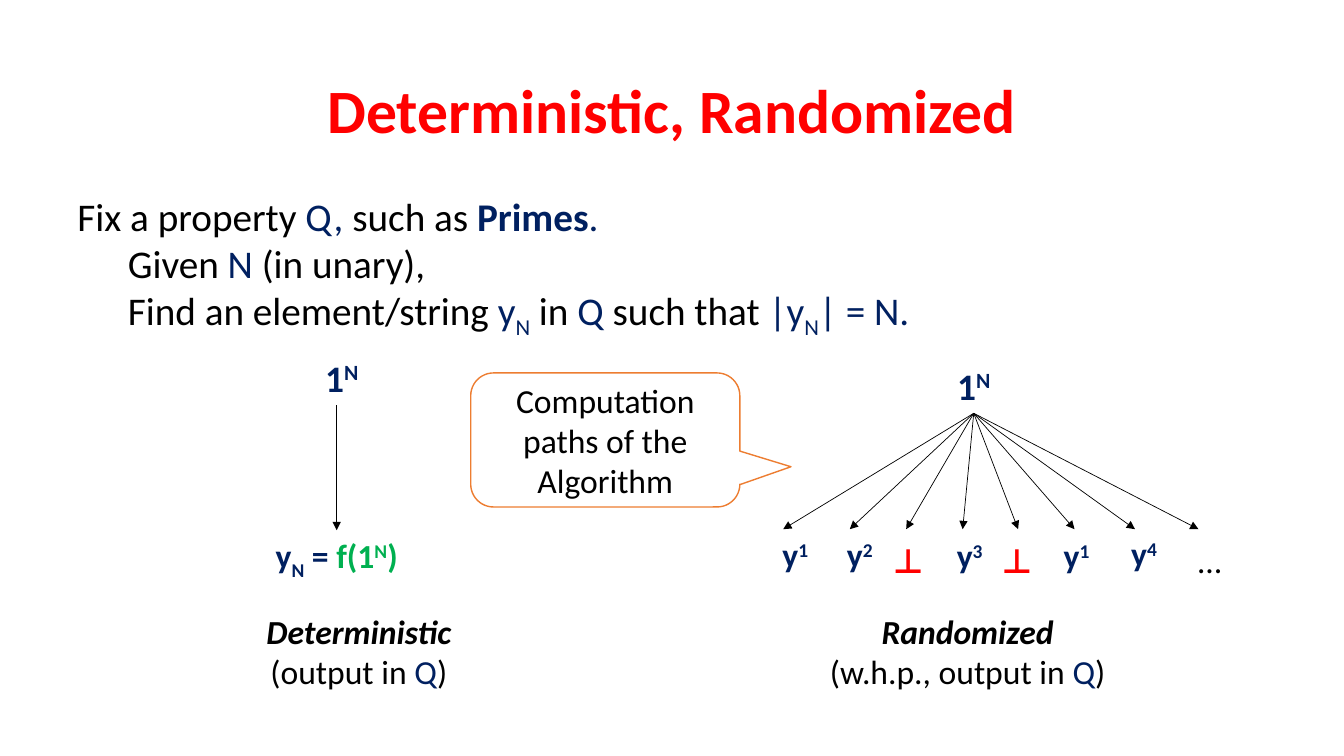
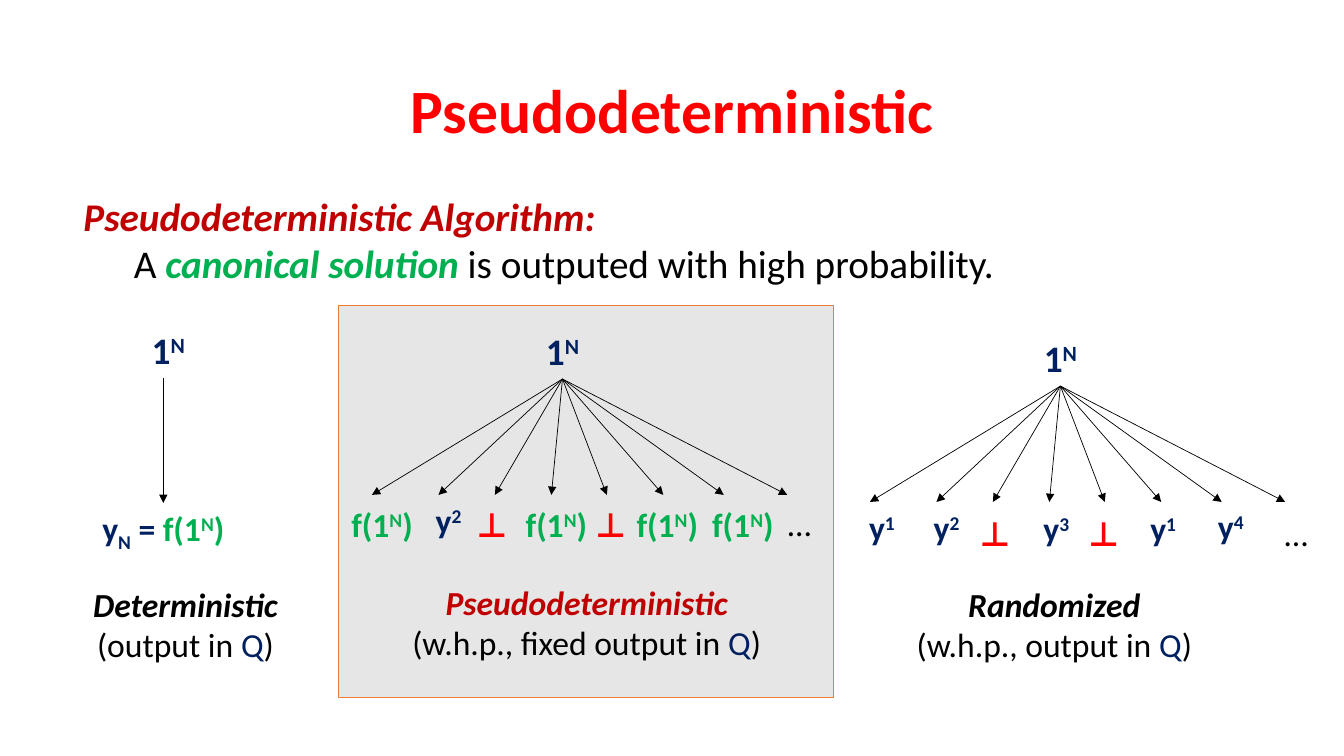
"""Build two slides comparing deterministic, randomized and pseudodeterministic algorithms."""
from dataclasses import dataclass
from typing import NamedTuple

from lxml import etree
from pptx import Presentation
from pptx.dml.color import RGBColor
from pptx.enum.shapes import MSO_CONNECTOR, MSO_SHAPE
from pptx.enum.text import MSO_ANCHOR, PP_ALIGN
from pptx.oxml.ns import qn
from pptx.util import Inches, Pt

CENTER, LEFT = PP_ALIGN.CENTER, PP_ALIGN.LEFT
MIDDLE, TOP = MSO_ANCHOR.MIDDLE, MSO_ANCHOR.TOP
STRAIGHT = MSO_CONNECTOR.STRAIGHT
RECTANGLE, CALLOUT = MSO_SHAPE.RECTANGLE, MSO_SHAPE.ROUNDED_RECTANGULAR_CALLOUT
CELL = Inches(0.1)
COLUMNS, ROWS = 133.33, 75
BOTTOM_SITE, TOP_SITE = 2, 0
SUPERSCRIPT, SUBSCRIPT = 30, -25
BLANK_LAYOUT = 6


@dataclass(frozen=True)
class Theme:
    """Colours, font and type sizes of both slides."""
    font: str = "Calibri"
    title: str = "FF0000"
    ink: str = "000000"
    navy: str = "002060"
    green: str = "00B050"
    crimson: str = "C00000"
    orange: str = "ED7D31"
    panel: str = "E7E6E6"
    paper: str = "FFFFFF"
    title_size: float = 44
    body_size: float = 28
    root_size: float = 26.7
    label_size: float = 24
    arrow_width: float = 0.5
    outline_width: float = 1


THEME = Theme()


class Run(NamedTuple):
    """A stretch of text in one style."""
    text: str
    color: str = THEME.ink
    bold: bool = False
    italic: bool = False
    baseline: int = 0


class Line(NamedTuple):
    """A paragraph and its indent in columns."""
    runs: list[Run]
    indent: float = 0


class Box(NamedTuple):
    """A rectangle in grid columns and rows."""
    left: float
    top: float
    width: float
    height: float


class Label(NamedTuple):
    """Text of an outcome and the width of its box."""
    runs: list[Run]
    width: float


class Branch(NamedTuple):
    """An arrow tip and its outcome, measured from the apex."""
    tip: float
    label: Label
    shift: float
    drop: float


class Diagram(NamedTuple):
    """A computation with its branches and caption, measured from the apex."""
    branches: list[Branch]
    fall: float
    root_shift: float
    name: Run
    scope: str
    caption_shift: float
    caption_drop: float
    caption_width: float


def scripted(base: str, script: str, color: str, baseline: int = SUPERSCRIPT) -> list[Run]:
    """Return bold text followed by a raised or lowered script."""
    return [Run(base, color, True), Run(script, color, True, baseline=baseline)]


def outcome(index: str) -> Label:
    """Return the label of a numbered outcome."""
    return Label(scripted("y", index, THEME.navy), 6)


CANONICAL_RUNS = [*scripted("f(1", "N", THEME.green), Run(")", THEME.green, True)]
CANONICAL = Label(CANONICAL_RUNS, 9.7)
FAILURE = Label([Run("⊥", THEME.title, True)], 9.6)
ELLIPSIS = Label([Run("…")], 6.9)
EQUATION = Label([*scripted("y", "N", THEME.navy, SUBSCRIPT),
                  Run(" = ", THEME.navy, True), *CANONICAL_RUNS], 17.2)
TIPS = [-18.9, -12.3, -6.7, -1.1, 4.4, 10, 16, 22.3]


def branches(labels: list[Label], shifts: list[float], drops: list[float]) -> list[Branch]:
    """Pair the fan of arrow tips with outcomes."""
    return [Branch(*parts) for parts in zip(TIPS, labels, shifts, drops)]


DETERMINISTIC = Diagram(
    [Branch(0, EQUATION, 0, 12.4)], 12.4, 0.5,
    Run("Deterministic", THEME.ink, True, True), "(output in ", 2.2, 19.9, 30.4)
RANDOMIZED = Diagram(
    branches([outcome("1"), outcome("2"), FAILURE, outcome("3"),
              FAILURE, outcome("1"), outcome("4"), ELLIPSIS],
             [-17.7, -11.3, -6.5, -0.4, 4.3, 10.2, 16.9, 23.4],
             [11.5, 11.5, 12.1, 11.6, 12.1, 11.6, 11.4, 12.1]),
    11.5, 0, Run("Randomized", THEME.ink, True, True), "(w.h.p., output in ", -0.6, 19.1, 33)
PSEUDODETERMINISTIC = Diagram(
    branches([CANONICAL, outcome("2"), FAILURE, CANONICAL,
              FAILURE, CANONICAL, CANONICAL, ELLIPSIS],
             [-17.9, -11.3, -7, -0.6, 4.8, 10.4, 17.9, 23.5],
             [11.9, 11.5, 11.9, 11.9, 11.9, 11.9, 11.9, 11.8]),
    11.5, 0, Run("Pseudodeterministic", THEME.crimson, True, True),
    "(w.h.p., fixed output in ", 2.4, 19.6, 42)


def grid(*cells: float) -> list[int]:
    """Convert grid cells to slide units."""
    return [round(cell * CELL) for cell in cells]


def rgb(color: str) -> RGBColor:
    """Return the colour object of a hex value."""
    return RGBColor.from_string(color)


def apply_format(target: object, values: dict[str, object]) -> None:
    """Set each named attribute of a formatting object."""
    for name, value in values.items():
        setattr(target, name, value)


def write(shape, lines: list[Line], size: float, align=LEFT, anchor=TOP, spacing: float = 1) -> None:
    """Fill a shape with styled paragraphs."""
    frame = shape.text_frame
    apply_format(frame, {"word_wrap": True, "vertical_anchor": anchor})
    for index, line in enumerate(lines):
        paragraph = frame.add_paragraph() if index else frame.paragraphs[0]
        apply_format(paragraph, {"alignment": align, "line_spacing": spacing})
        if line.indent:
            paragraph._p.get_or_add_pPr().set("marL", str(grid(line.indent)[0]))
        for piece in line.runs:
            run = paragraph.add_run()
            run.text = piece.text
            apply_format(run.font, {"name": THEME.font, "size": Pt(size),
                                    "bold": piece.bold, "italic": piece.italic})
            run.font.color.rgb = rgb(piece.color)
            if piece.baseline:
                run.font._element.set("baseline", str(piece.baseline * 1000))


def add_text(slide, box: Box, lines: list[Line], size: float, **layout):
    """Add a wrapped text box."""
    shape = slide.shapes.add_textbox(*grid(*box))
    write(shape, lines, size, **layout)
    return shape


def add_outlined(slide, kind, box: Box, fill: str):
    """Add a filled shape with the orange outline."""
    shape = slide.shapes.add_shape(kind, *grid(*box))
    shape.shadow.inherit = False
    shape.fill.solid()
    shape.fill.fore_color.rgb = rgb(fill)
    shape.line.color.rgb = rgb(THEME.orange)
    shape.line.width = Pt(THEME.outline_width)
    return shape


def add_arrow(slide, left: float, top: float, tip: float, bottom: float):
    """Add a thin arrow with a triangular head."""
    arrow = slide.shapes.add_connector(STRAIGHT, *grid(left, top, tip, bottom))
    arrow.line.color.rgb = rgb(THEME.ink)
    arrow.line.width = Pt(THEME.arrow_width)
    etree.SubElement(arrow.line._get_or_add_ln(), qn("a:tailEnd"), type="triangle")
    etree.SubElement(arrow._element.spPr, qn("a:effectLst"))
    return arrow


def add_centered(slide, center: float, top: float, width: float, height: float,
                 lines: list[Line], size: float = THEME.label_size):
    """Add centred text around a column."""
    box = Box(center - width / 2, top, width, height)
    return add_text(slide, box, lines, size, align=CENTER)


def add_diagram(slide, diagram: Diagram, column: float, row: float) -> None:
    """Draw a computation below its apex."""
    root = add_centered(slide, column + diagram.root_shift, row - 5.5, 9, 5.5,
                        [Line(scripted("1", "N", THEME.navy))], THEME.root_size)
    for branch in diagram.branches:
        label = add_centered(slide, column + branch.shift, row + branch.drop,
                             branch.label.width, 5, [Line(branch.label.runs)])
        arrow = add_arrow(slide, column, row, column + branch.tip, row + diagram.fall)
        if not diagram.root_shift:
            arrow.begin_connect(root, BOTTOM_SITE)
        if (branch.tip, diagram.fall) == (branch.shift, branch.drop):
            arrow.end_connect(label, TOP_SITE)
    scope = [Run(diagram.scope), Run("Q", THEME.navy), Run(")")]
    add_centered(slide, column + diagram.caption_shift, row + diagram.caption_drop,
                 diagram.caption_width, 9.1, [Line([diagram.name]), Line(scope)])


def add_titled_slide(presentation, title: str, body: Box, lines: list[Line]):
    """Add a slide with the shared title and a body text."""
    slide = presentation.slides.add_slide(presentation.slide_layouts[BLANK_LAYOUT])
    add_text(slide, Box(9.2, 4, 115, 14.5), [Line([Run(title, THEME.title, True)])],
             THEME.title_size, align=CENTER, anchor=MIDDLE, spacing=0.9)
    add_text(slide, body, lines, THEME.body_size)
    return slide


def build_comparison(presentation) -> None:
    """Build the slide on deterministic and randomized algorithms."""
    navy = THEME.navy
    slide = add_titled_slide(presentation, "Deterministic, Randomized", Box(6.7, 18.6, 118.9, 15.1), [
        Line([Run("Fix a property "), Run("Q, ", navy), Run("such as "),
              Run("Primes", navy, True), Run(".", navy)]),
        Line([Run("Given"), Run(" N", navy), Run(" (in unary),")], 5),
        Line([Run("Find an element/string "), Run("y", navy), Run("N", navy, baseline=SUBSCRIPT),
              Run(" in "), Run("Q", navy), Run(" such that "), Run("|y", navy),
              Run("N", navy, baseline=SUBSCRIPT), Run("| = N.", navy)], 5)])
    add_diagram(slide, DETERMINISTIC, 33.4, 40.2)
    add_diagram(slide, RANDOMIZED, 96.6, 41)
    callout = add_outlined(slide, CALLOUT, Box(46.7, 37, 26.7, 13.3), THEME.paper)
    for index, value in enumerate([0.69, 0.2, 0.17]):
        callout.adjustments[index] = value
    write(callout, [Line([Run("Computation paths of the Algorithm")])],
          THEME.label_size, align=CENTER, anchor=MIDDLE)


def build_pseudodeterministic(presentation) -> None:
    """Build the slide on pseudodeterministic algorithms."""
    slide = add_titled_slide(presentation, "Pseudodeterministic", Box(7.3, 18.6, 118.9, 10.4), [
        Line([Run("Pseudodeterministic Algorithm:", THEME.crimson, True, True)]),
        Line([Run("A "), Run("canonical solution ", THEME.green, True, True),
              Run("is outputed with high probability.")], 5)])
    add_outlined(slide, RECTANGLE, Box(33.6, 30.3, 49.1, 38.9), THEME.panel)
    add_diagram(slide, DETERMINISTIC, 16.2, 37.5)
    add_diagram(slide, PSEUDODETERMINISTIC, 55.8, 37.6)
    add_diagram(slide, RANDOMIZED, 105.2, 38.3)


def main() -> None:
    """Build and save the presentation."""
    presentation = Presentation()
    presentation.slide_width, presentation.slide_height = grid(COLUMNS, ROWS)
    build_comparison(presentation)
    build_pseudodeterministic(presentation)
    presentation.save("out.pptx")


if __name__ == "__main__":
    main()
